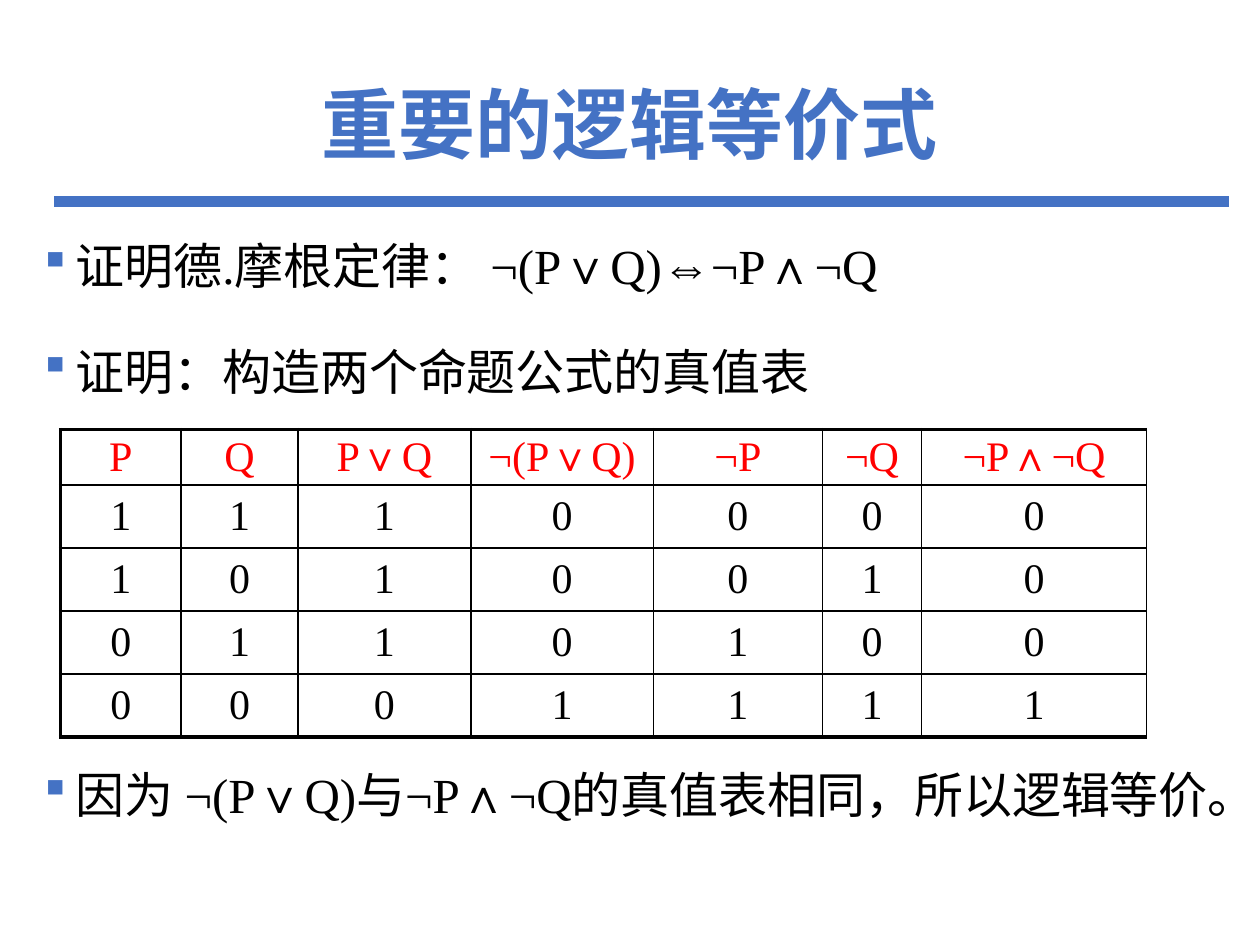
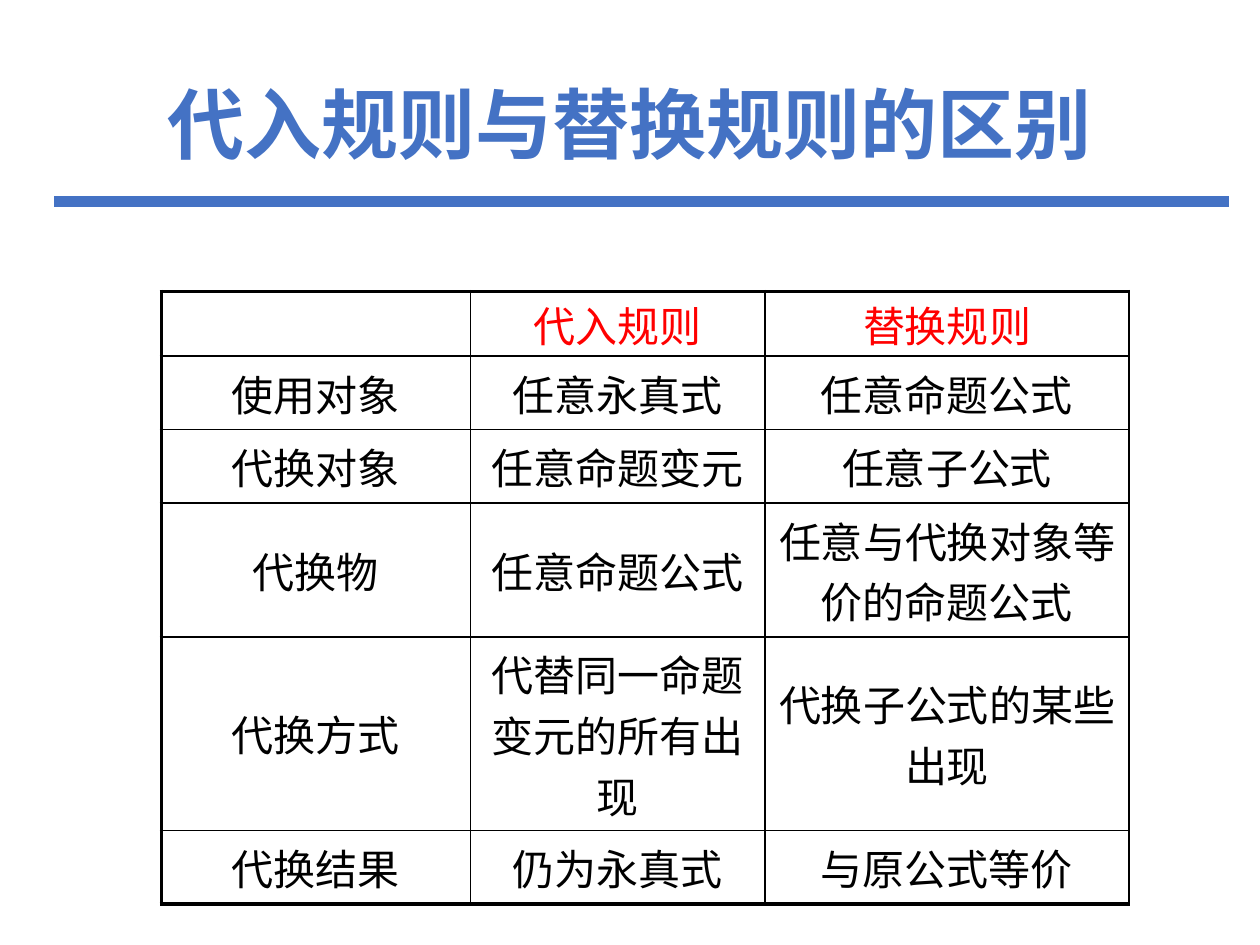
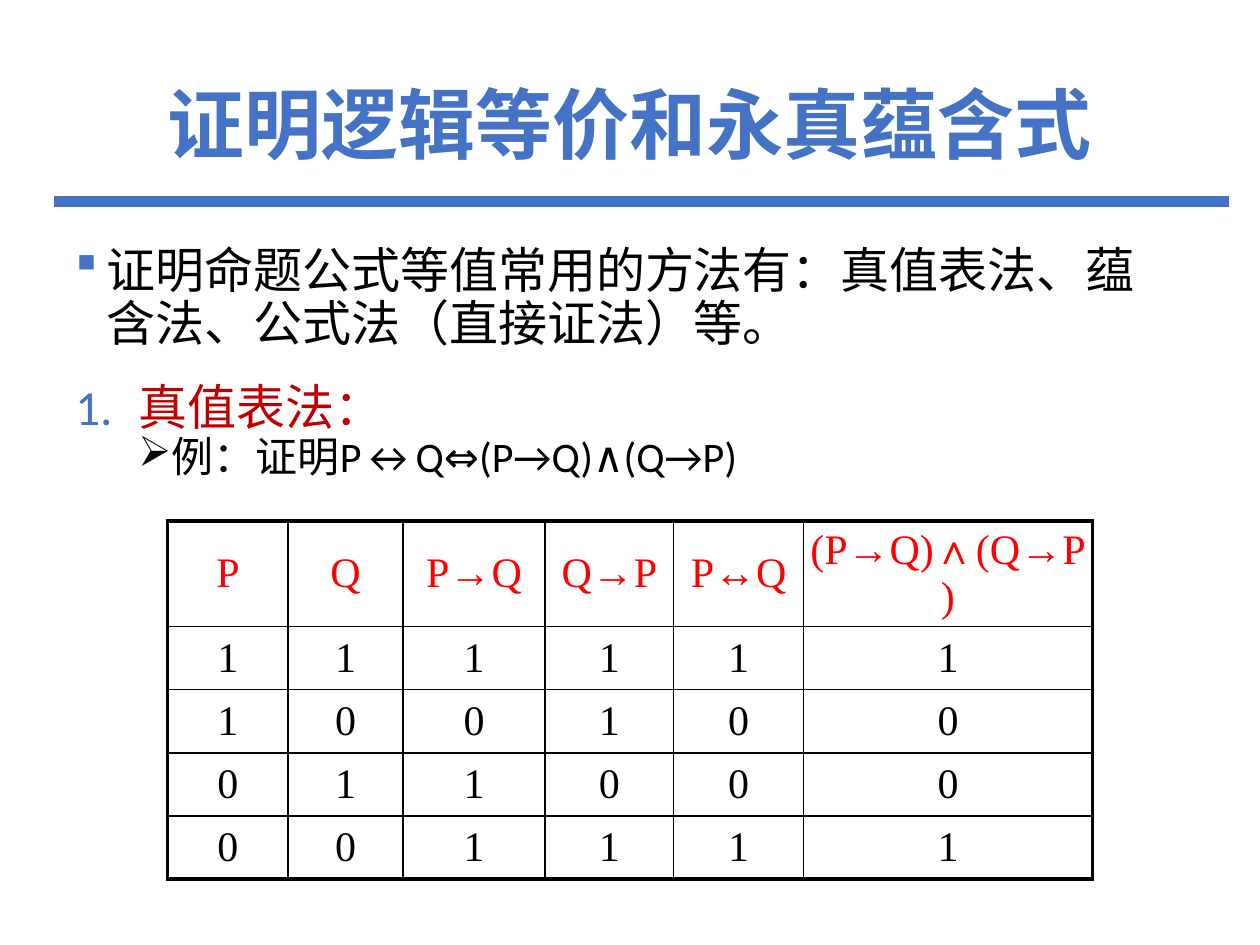
from lxml.etree import SubElement
from pptx import Presentation
from pptx.dml.color import RGBColor
from pptx.enum.shapes import MSO_CONNECTOR
from pptx.enum.text import MSO_ANCHOR, PP_ALIGN
from pptx.oxml.ns import qn
from pptx.util import Cm, Pt

# Shared look
BLUE, RED, DARK, BLACK = "4472C4", "FF0000", "C00000", "000000"
SANS, SERIF, BODY = "Noto Sans CJK SC", "Times New Roman", "Calibri"
THIN, THICK = 1, 2.25

# Bullets: kind, font, attributes
SQUARE = ("buChar", "Wingdings", {"char": "§"})
ARROW = ("buChar", "Wingdings", {"char": "Ø"})
NUMBER = ("buAutoNum", SANS, {"type": "arabicPeriod"})


def paint(color, code):
    color.rgb = RGBColor.from_string(code)


def add_run(para, text, size, code, latin, asian, bold=False):
    run = para.add_run()
    run.text = text
    font = run.font
    font.size, font.bold, font.name = Pt(size), bold, latin
    paint(font.color if font.color.type else fill_of(font), code)
    props = run._r.get_or_add_rPr()
    props.set("lang", "zh-CN")
    SubElement(props, qn("a:ea")).set("typeface", asian)


def fill_of(font):
    font.fill.solid()
    return font.fill.fore_color


def add_box(slide, left, top, width, height):
    box = slide.shapes.add_textbox(Cm(left), Cm(top), Cm(width), Cm(height))
    box.text_frame.word_wrap = True
    return box.text_frame


def add_head(slide, text):
    """Title and the blue rule below it."""
    rule = slide.shapes.add_connector(
        MSO_CONNECTOR.STRAIGHT, Cm(1.09), Cm(4.06), Cm(24.77), Cm(4.06))
    paint(rule.line.color, BLUE)
    rule.line.width = Pt(6)
    SubElement(rule._element.spPr, qn("a:effectLst"))
    frame = add_box(slide, 1.75, 1.02, 21.9, 3.15)
    frame.vertical_anchor = MSO_ANCHOR.MIDDLE
    para = frame.paragraphs[0]
    para.alignment, para.line_spacing = PP_ALIGN.CENTER, 0.9
    add_run(para, text, 44, BLUE, SANS, SANS, True)


def add_point(frame, text, bullet, left=0.25, hang=0.25, lines=0.9, before=0,
              after=0, size=28, code=BLACK, mark=BLUE, latin=BODY, level=0):
    """One bulleted paragraph; left and hang are in inches."""
    first = frame.paragraphs[0]
    para = frame.add_paragraph() if first.runs else first
    para.level, para.line_spacing = level, lines
    para.space_before, para.space_after = Pt(before), Pt(after)
    props = para._p.get_or_add_pPr()
    props.set("marL", str(Cm(left * 2.54)))
    props.set("indent", str(-Cm(hang * 2.54)))
    kind, face, attrs = bullet
    tint = SubElement(props, qn("a:buClr"))
    SubElement(tint, qn("a:srgbClr")).set("val", mark)
    SubElement(props, qn("a:buFont")).set("typeface", face)
    SubElement(props, qn("a:" + kind), attrs)
    add_run(para, text, size, code, latin, BODY)


def add_edge(cell, side, width):
    edge = SubElement(cell._tc.get_or_add_tcPr(), qn("a:ln" + side))
    edge.set("w", str(Pt(width)))
    fill = SubElement(edge, qn("a:solidFill"))
    SubElement(fill, qn("a:srgbClr")).set("val", BLACK)


def add_grid(slide, left, top, widths, heights, rows, asian, right=THIN):
    """Table with a red head row, thin inner lines and a thick frame."""
    count, last = len(rows), len(widths) - 1
    grid = slide.shapes.add_table(
        count, last + 1, Cm(left), Cm(top),
        Cm(sum(widths)), Cm(sum(heights))).table
    grid.first_row = grid.horz_banding = False
    for col, width in zip(grid.columns, widths):
        col.width = Cm(width)
    for row, height in zip(grid.rows, heights):
        row.height = Cm(height)
    for r, row in enumerate(rows):
        for c, text in enumerate(row):
            cell = grid.cell(r, c)
            cell.vertical_anchor = MSO_ANCHOR.MIDDLE
            add_edge(cell, "L", THIN if c else THICK)
            add_edge(cell, "R", right if c == last else THIN)
            add_edge(cell, "T", THIN if r else THICK)
            add_edge(cell, "B", THICK if r == count - 1 else THIN)
            cell.fill.background()
            if r == 0:
                cell.margin_left = cell.margin_right = 0
                cell.margin_top = cell.margin_bottom = Cm(0.05)
            para = cell.text_frame.paragraphs[0]
            para.alignment = PP_ALIGN.CENTER
            if text:
                latin = SANS if r == 0 and asian == SANS else SERIF
                add_run(para, text, 24, BLACK if r else RED, latin, asian)


def add_laws(slide):
    add_head(slide, "重要的逻辑等价式")
    frame = add_box(slide, 0.64, 4.04, 24.1, 15.29)
    # The last point leaves room for the table
    points = [("证明德.摩根定律： ¬(P∨Q)⇔¬P∧¬Q", 0),
              ("证明：构造两个命题公式的真值表", 10),
              ("因为 ¬(P∨Q)与¬P∧¬Q的真值表相同，所以逻辑等价。", 191)]
    for text, before in points:
        add_point(frame, text, SQUARE, lines=1.5, before=before, latin=SERIF)
    rows = [("P", "Q", "P∨Q", "¬(P∨Q)", "¬P", "¬Q", "¬P∧¬Q"),
            "1110000", "1010010", "0110100", "0001111"]
    add_grid(slide, 1.22, 8.66, [2.43, 2.36, 3.48, 3.68, 3.41, 2, 4.53],
             [1.02] + [1.19] * 4, rows, SERIF)


def add_rules(slide):
    add_head(slide, "代入规则与替换规则的区别")
    rows = [("", "代入规则", "替换规则"),
            ("使用对象", "任意永真式", "任意命题公式"),
            ("代换对象", "任意命题变元", "任意子公式"),
            ("代换物", "任意命题公式", "任意与代换对象等价的命题公式"),
            ("代换方式", "代替同一命题变元的所有出现", "代换子公式的某些出现"),
            ("代换结果", "仍为永真式", "与原公式等价")]
    add_grid(slide, 3.25, 5.88, [6.23, 5.94, 7.34],
             [1.3, 1.48, 1.48, 2.7, 3.9, 1.48], rows, SANS)


def add_proof(slide):
    add_head(slide, "证明逻辑等价和永真蕴含式")
    frame = add_box(slide, 1.27, 4.83, 22.8, 12.8)
    add_point(frame, "证明命题公式等值常用的方法有：真值表法、"
              "蕴含法、公式法（直接证法）等。", SQUARE, after=18)
    add_point(frame, "真值表法：", NUMBER, left=0.5, hang=0.5, code=DARK)
    add_point(frame, "例：证明P↔Q⇔(P→Q)∧(Q→P)", ARROW, left=0.75,
              size=24, mark=BLACK, level=1)
    rows = [("P", "Q", "P→Q", "Q→P", "P↔Q", "(P→Q)∧(Q→P)"),
            "111111", "100100", "011000", "001111"]
    add_grid(slide, 3.38, 10.5, [2.43, 2.31, 2.87, 2.59, 2.62, 5.82],
             [1.95] + [1.19] * 4, rows, SERIF, THICK)


def main():
    deck = Presentation()
    deck.slide_width, deck.slide_height = Cm(25.4), Cm(19.05)
    for build in (add_laws, add_rules, add_proof):
        build(deck.slides.add_slide(deck.slide_layouts[6]))
    deck.save("out.pptx")


if __name__ == "__main__":
    main()
